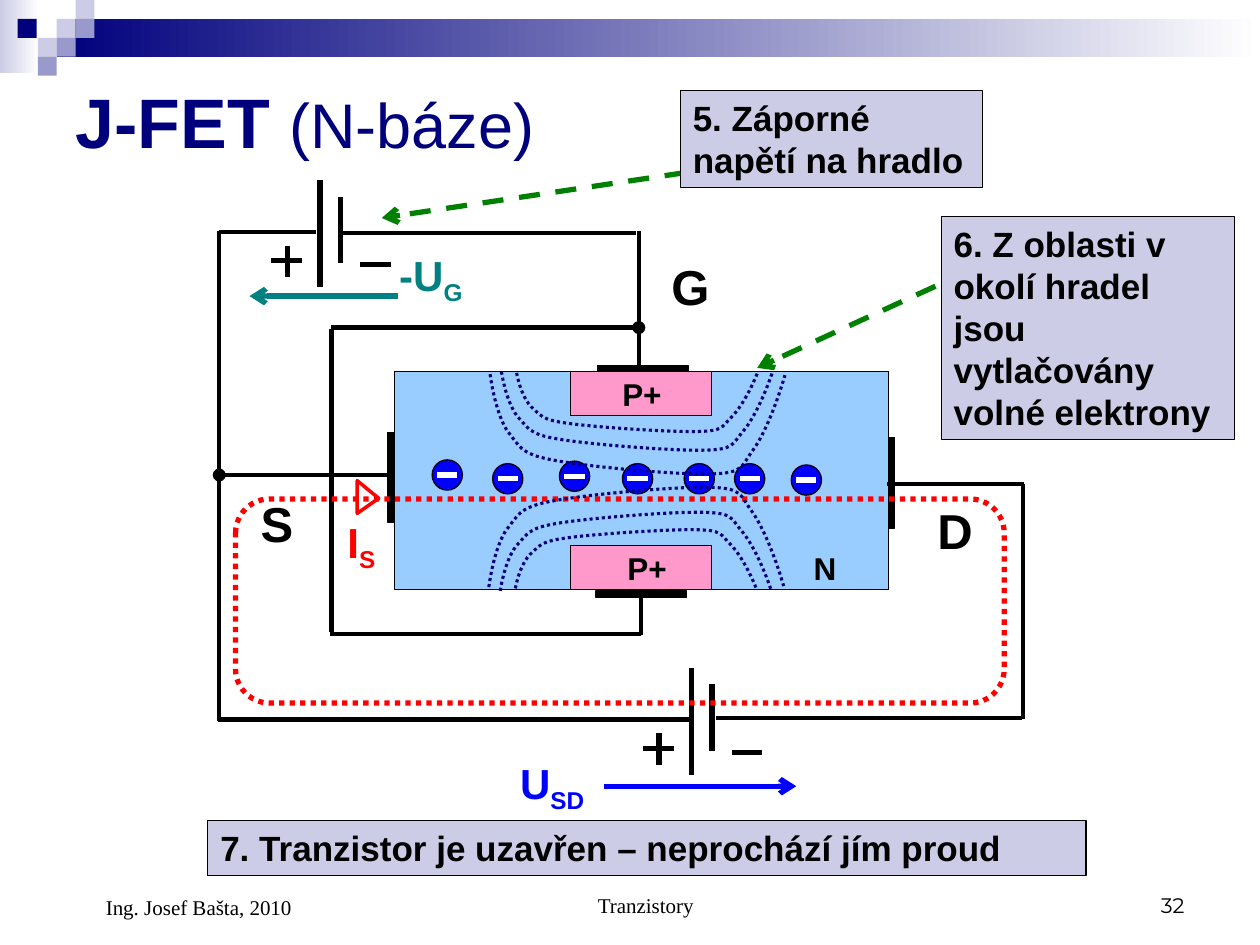
from typing import NamedTuple, Optional

import pptx
import pptx.dml.color
import pptx.enum.dml
import pptx.enum.shapes
import pptx.enum.text
import pptx.oxml.ns
import pptx.util
from lxml import etree

Inches = pptx.util.Inches
Pt = pptx.util.Pt
SHAPE = pptx.enum.shapes.MSO_SHAPE
DASH = pptx.enum.dml.MSO_LINE
ALIGN = pptx.enum.text.PP_ALIGN
ANCHOR = pptx.enum.text.MSO_ANCHOR
qn = pptx.oxml.ns.qn

BLACK, NAVY, BLUE, RED = "000000", "00007D", "0000FF", "FF0000"
TEAL, GREEN, WHITE = "008080", "008000", "FFFFFF"
LAVENDER, VIOLET = "CCCCE6", "9999CC"


class Rect(NamedTuple):
    left: float
    top: float
    width: float
    height: float


class Span(NamedTuple):
    text: str
    size: float
    color: str = BLACK
    bold: bool = True
    subscript: bool = False
    font: str = "Arial"


class Line(NamedTuple):
    x1: float
    y1: float
    x2: float
    y2: float
    width: float = 2.5
    color: str = BLACK
    dash: Optional[DASH] = None
    head: str = ""
    tail: str = ""


class Label(NamedTuple):
    rect: Rect
    spans: list


def rgb(value: str):
    return pptx.dml.color.RGBColor.from_string(value)


def lengths(values) -> list:
    return [Inches(value) for value in values]


def style_line(line, color: str, width: float, dash=None) -> None:
    line.color.rgb = rgb(color)
    line.width = Pt(width)
    if dash is not None:
        line.dash_style = dash


def draw_line(page, item: Line) -> None:
    connector = page.shapes.add_connector(
        pptx.enum.shapes.MSO_CONNECTOR.STRAIGHT, *lengths(item[:4]))
    style_line(connector.line, item.color, item.width, item.dash)
    properties = connector._element.spPr
    outline = properties.find(qn("a:ln"))
    for tag, kind in (("a:headEnd", item.head), ("a:tailEnd", item.tail)):
        if kind:
            etree.SubElement(outline, qn(tag), type=kind)
    etree.SubElement(properties, qn("a:effectLst"))


def draw_shape(page, rect: Rect, fill: str = "", line: str = "", width: float = 0.75,
               kind=SHAPE.RECTANGLE, dash=None):
    shape = page.shapes.add_shape(kind, *lengths(rect))
    shape.shadow.inherit = False
    if fill:
        shape.fill.solid()
        shape.fill.fore_color.rgb = rgb(fill)
    else:
        shape.fill.background()
    if line:
        style_line(shape.line, line, width, dash)
    else:
        shape.line.fill.background()
    return shape


def draw_gradient(page, rect: Rect, left_color: str) -> None:
    """Draw a bar that fades to white on the right."""
    bar = draw_shape(page, rect)
    bar.fill.gradient()
    bar.fill.gradient_angle = 0
    for stop, color in zip(bar.fill.gradient_stops, (left_color, WHITE)):
        stop.color.rgb = rgb(color)


def write(box, spans: list, anchor=ANCHOR.TOP, align=ALIGN.LEFT) -> None:
    frame = box.text_frame
    frame.word_wrap = True
    frame.vertical_anchor = anchor
    para = frame.paragraphs[0]
    para.alignment = align
    for span in spans:
        run = para.add_run()
        run.text = span.text
        run.font.size = Pt(span.size)
        run.font.name = span.font
        run.font.bold = span.bold
        run.font.color.rgb = rgb(span.color)
        if span.subscript:
            run._r.get_or_add_rPr().set("baseline", "-25000")


def draw_label(page, label: Label) -> None:
    write(page.shapes.add_textbox(*lengths(label.rect)), label.spans)


def draw_callout(page, rect: Rect, text: str) -> None:
    write(draw_shape(page, rect, LAVENDER, BLACK), [Span(text, 20)])


def draw_footer(page, rect: Rect, text: str, align, indent: float = 0.1,
                font: str = "Times New Roman") -> None:
    box = page.shapes.add_textbox(*lengths(rect))
    box.text_frame.margin_left = Inches(indent)
    write(box, [Span(text, 12, bold=False, font=font)], ANCHOR.BOTTOM, align)


def draw_battery(page, x: float, y: float) -> None:
    """Draw both plates and the two signs; x, y is the top of the long plate."""
    for x1, y1, x2, y2 in ((0, 0, 0, 0.85), (0.16, 0.13, 0.16, 0.66),
                           (-0.39, 0.64, -0.14, 0.64), (-0.26, 0.52, -0.26, 0.77),
                           (0.32, 0.67, 0.56, 0.67)):
        draw_line(page, Line(x + x1, y + y1, x + x2, y + y2, 3))


def draw_electron(page, x: float, y: float) -> None:
    draw_shape(page, Rect(x - 0.12, y - 0.12, 0.24, 0.24), BLUE, BLACK, kind=SHAPE.OVAL)
    draw_line(page, Line(x - 0.08, y, x + 0.08, y, 3, WHITE))


# Bezier control points of a depletion border, as shares of its box
BORDER = [(0, 0), (0.01, 0.21), (0.03, 0.44), (0.06, 0.57), (0.1, 0.71), (0.1, 0.79),
          (0.21, 0.85), (0.33, 0.92), (0.64, 1), (0.75, 0.99), (0.86, 0.98), (0.85, 0.92),
          (0.89, 0.76), (0.93, 0.6), (0.97, 0.31), (1, 0.01)]


def round_segments(curve) -> None:
    """Turn every three straight segments into one Bezier segment."""
    corners = list(curve._element.iter(qn("a:lnTo")))
    for first in range(0, len(corners), 3):
        bezier = etree.Element(qn("a:cubicBezTo"))
        corners[first].addprevious(bezier)
        for corner in corners[first:first + 3]:
            bezier.append(corner[0])
            corner.getparent().remove(corner)


def draw_border(page, rect: Rect, flipped: bool) -> None:
    points = [(Inches(rect.left + rect.width * x),
               Inches(rect.top + rect.height * (1 - y if flipped else y)))
              for x, y in BORDER]
    builder = page.shapes.build_freeform(*points[0])
    builder.add_line_segments(points[1:], close=False)
    curve = builder.convert_to_shape()
    round_segments(curve)
    curve.shadow.inherit = False
    curve.fill.background()
    style_line(curve.line, NAVY, 1.75, DASH.ROUND_DOT)


SQUARES = [(0.45, 0.15, LAVENDER), (0.6, 0, LAVENDER), (0.6, 0.15, VIOLET), (0.3, 0.3, LAVENDER),
           (0.14, 0.15, NAVY), (0.45, 0.3, VIOLET), (0.3, 0.45, VIOLET)]
CONTACTS = [Rect(4.73, 4.69, 0.72, 0.05), Rect(4.74, 2.9, 0.72, 0.05),
            Rect(3.08, 3.43, 0.05, 0.72), Rect(7.05, 3.47, 0.05, 0.72)]
WIRES = [
    Line(3.1, 3.77, 1.73, 3.77), Line(8.13, 3.84, 7.04, 3.84), Line(5.07, 1.83, 5.07, 2.93),
    Line(5.09, 5.03, 2.62, 5.03), Line(5.09, 4.73, 5.09, 5.04), Line(2.63, 2.61, 2.63, 5.02),
    Line(5.07, 2.6, 2.63, 2.6, head="oval"), Line(1.73, 5.71, 5.49, 5.71),
    Line(5.68, 5.7, 8.11, 5.7), Line(8.12, 5.71, 8.12, 3.84), Line(1.74, 5.72, 1.74, 3.77),
    Line(2.72, 1.85, 5.05, 1.85), Line(1.74, 1.84, 2.51, 1.84),
    Line(1.74, 3.77, 1.74, 1.83, head="oval"),
]
ARROWS = [
    Line(4.79, 6.24, 6.32, 6.24, 3, BLUE, tail="arrow"),
    Line(3.16, 2.35, 1.98, 2.35, 3, TEAL, tail="arrow"),
    Line(5.44, 1.37, 3.03, 1.73, 3, GREEN, DASH.DASH, tail="arrow"),
    Line(7.69, 2.15, 6.01, 2.92, 3, GREEN, DASH.DASH, tail="arrow"),
]
LABELS = [
    Label(Rect(6.36, 4.31, 0.36, 0.4), [Span("N", 18)]),
    Label(Rect(4.88, 4.31, 0.58, 0.4), [Span("P+", 18)]),
    Label(Rect(4.84, 2.93, 0.58, 0.4), [Span("P+", 18)]),
    Label(Rect(1.97, 3.87, 0.45, 0.57), [Span("S", 28)]),
    Label(Rect(5.23, 1.99, 0.45, 0.57), [Span("G", 28)]),
    Label(Rect(7.34, 3.92, 0.45, 0.57), [Span("D", 28)]),
    Label(Rect(4.03, 5.96, 0.81, 0.56), [Span("U", 24, BLUE), Span("SD", 24, BLUE, subscript=True)]),
    Label(Rect(2.66, 4.05, 0.53, 0.56), [Span("I", 24, RED), Span("S", 24, RED, subscript=True)]),
    Label(Rect(3.07, 1.93, 0.81, 0.56), [Span("-U", 24, TEAL), Span("G", 24, TEAL, subscript=True)]),
]
ELECTRONS = [(3.55, 3.77), (4.03, 3.8), (4.56, 3.78), (5.06, 3.8), (5.55, 3.8), (5.95, 3.8),
             (6.4, 3.81)]
UPPER_BORDERS = [Rect(4.1, 2.96, 1.91, 0.47), Rect(3.98, 2.95, 2.15, 0.63),
                 Rect(3.89, 2.97, 2.34, 0.8)]
LOWER_BORDERS = [Rect(4.09, 4.2, 1.91, 0.47), Rect(3.97, 4.06, 2.15, 0.63),
                 Rect(3.88, 3.86, 2.34, 0.8)]


def main() -> None:
    deck = pptx.Presentation()
    deck.slide_width, deck.slide_height = Inches(10), Inches(7.5)
    page = deck.slides.add_slide(deck.slide_layouts[5])

    draw_gradient(page, Rect(0, 0, 0.31, 0.58), LAVENDER)
    draw_gradient(page, Rect(0.45, 0.15, 9.55, 0.3), NAVY)
    for left, top, color in SQUARES:
        draw_shape(page, Rect(left, top, 0.15, 0.15), color)

    title = page.shapes.title
    title.left, title.top, title.width, title.height = lengths((0.5, 0.55, 9, 0.82))
    write(title, [Span("J-FET ", 40, NAVY), Span("(N-báze)", 36, NAVY, False)], ANCHOR.MIDDLE)

    draw_shape(page, Rect(3.13, 2.95, 3.92, 1.73), "99CCFF", BLACK)
    for top in (2.95, 4.33):
        draw_shape(page, Rect(4.53, top, 1.12, 0.35), "FF99CC", BLACK)
    for contact in CONTACTS:
        draw_shape(page, contact, BLACK, BLACK)
    for wire in WIRES:
        draw_line(page, wire)
    draw_battery(page, 5.49, 5.3)
    draw_battery(page, 2.54, 1.43)

    marker = draw_shape(page, Rect(2.79, 3.86, 0.26, 0.17), "", RED, 2, SHAPE.ISOSCELES_TRIANGLE)
    marker.adjustments[0] = 0.54
    marker.rotation = 90
    draw_shape(page, Rect(1.87, 3.96, 6.1, 1.62), "", RED, 3, SHAPE.ROUNDED_RECTANGLE,
               DASH.ROUND_DOT)
    for x, y in ELECTRONS:
        draw_electron(page, x, y)
    for label in LABELS:
        draw_label(page, label)
    for borders, flipped in ((UPPER_BORDERS, False), (LOWER_BORDERS, True)):
        for rect in borders:
            draw_border(page, rect, flipped)
    for arrow in ARROWS:
        draw_line(page, arrow)

    draw_callout(page, Rect(5.4, 0.72, 2.4, 0.77), "5. Záporné napětí na hradlo")
    draw_callout(page, Rect(7.47, 1.72, 2.33, 1.77),
                 "6. Z oblasti v okolí hradel jsou vytlačovány volné elektrony")
    draw_callout(page, Rect(1.65, 6.51, 6.97, 0.44),
                 "7. Tranzistor je uzavřen – neprochází jím proud")
    draw_footer(page, Rect(3.42, 6.83, 3.17, 0.5), "Tranzistory", ALIGN.CENTER, 0.34)
    draw_footer(page, Rect(7.17, 6.83, 2.33, 0.5), "32", ALIGN.RIGHT, font="Montserrat")
    draw_footer(page, Rect(0.5, 6.83, 2.33, 0.52), "Ing. Josef Bašta, 2010", ALIGN.LEFT, 0.34)
    deck.save("out.pptx")


if __name__ == "__main__":
    main()
